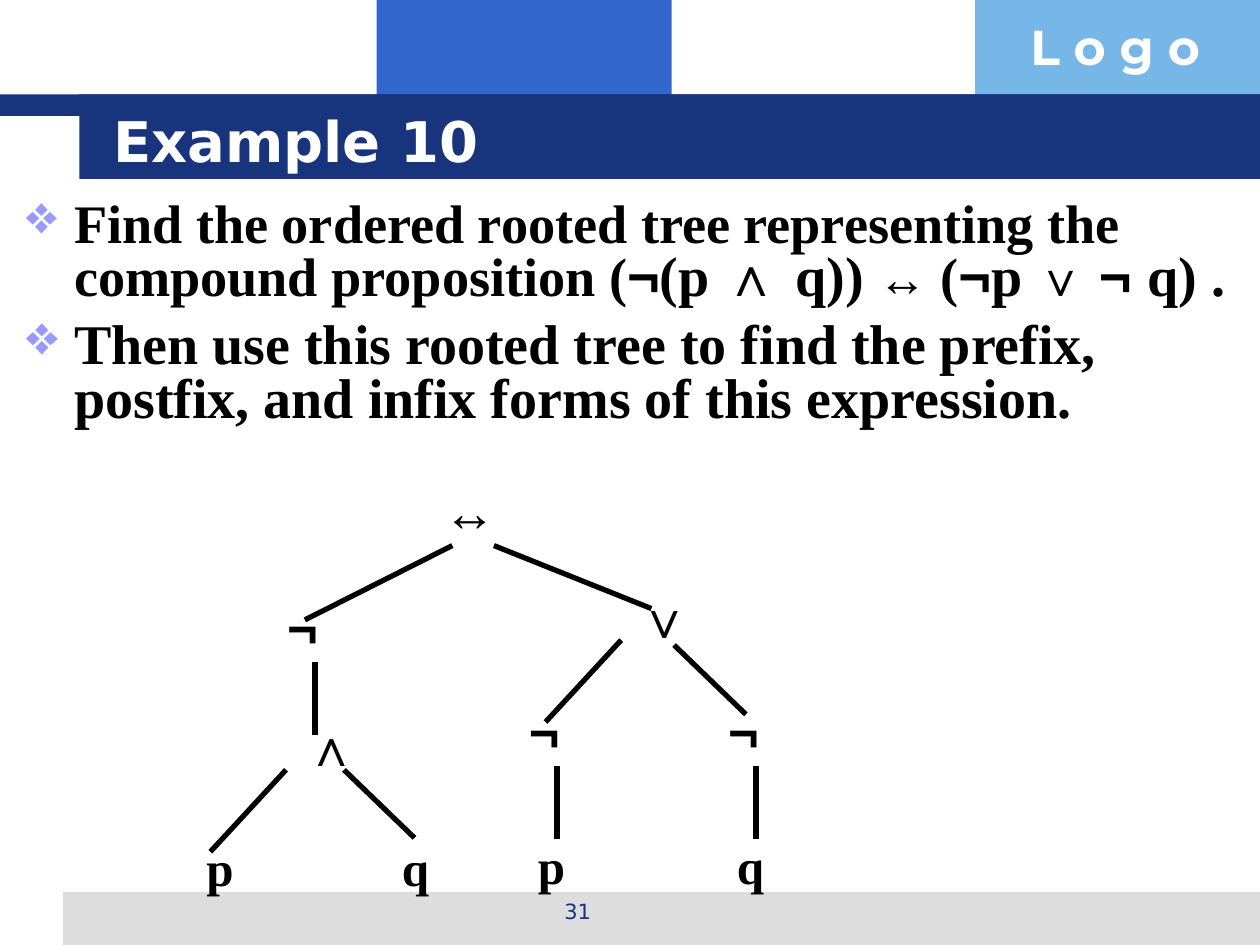
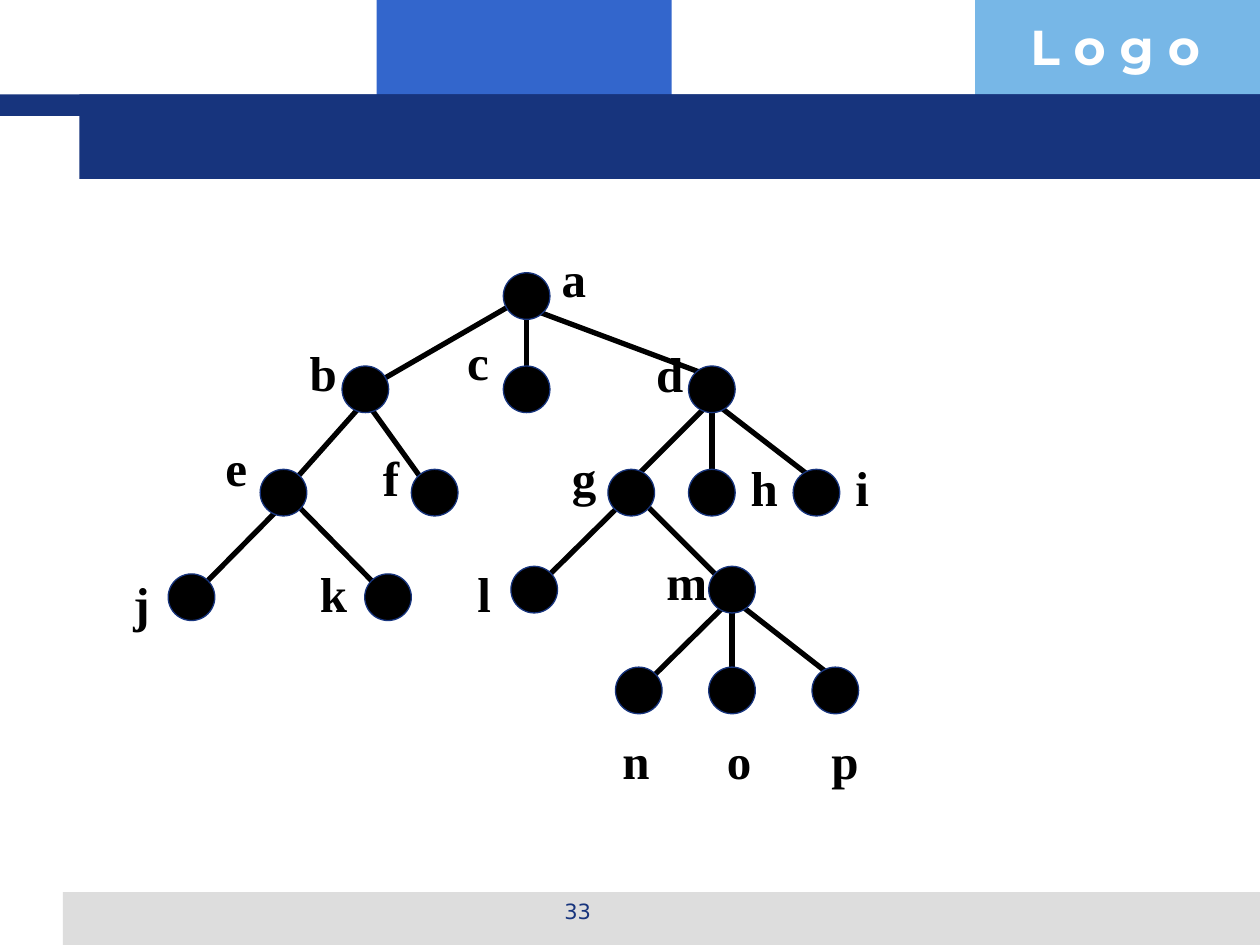
import pptx
import pptx.util
import pptx.dml.color
import pptx.enum.shapes
import pptx.enum.text
import pptx.oxml.ns
from lxml import etree

Inches = pptx.util.Inches
Pt = pptx.util.Pt
RGBColor = pptx.dml.color.RGBColor
SHAPE = pptx.enum.shapes.MSO_SHAPE
ANCHOR = pptx.enum.text.MSO_ANCHOR
ALIGN = pptx.enum.text.PP_ALIGN
qn = pptx.oxml.ns.qn

NAVY = RGBColor(0x17, 0x34, 0x7D)
BLUE = RGBColor(0x33, 0x66, 0xCC)
SKY = RGBColor(0x77, 0xB7, 0xE7)
GREY = RGBColor(0xDD, 0xDD, 0xDD)
LILAC = RGBColor(0x99, 0x99, 0xFF)
BLACK = RGBColor(0, 0, 0)
WHITE = RGBColor(0xFF, 0xFF, 0xFF)

SERIF, SYMBOL, SANS = "Times New Roman", "Arial", "DejaVu Sans"
TITLE = {"name": SANS, "size": Pt(32), "bold": True}
NUMBER = {"name": SANS, "size": Pt(12)}
LOGO = {"name": "Montserrat", "size": Pt(28), "bold": True}
LETTER = {"name": SERIF, "size": Pt(28), "bold": True}
OPERATOR = {"name": SYMBOL, "size": Pt(30), "bold": True}

BANDS = [
    (2.99, 0, 2.34, 0.92, BLUE),
    (7.74, 0, 2.26, 0.92, SKY),
    (0.5, 7.08, 9.5, 0.42, GREY),
    (0, 0.75, 10, 0.17, NAVY),
    (0.63, 0.75, 9.37, 0.67, NAVY),
]

LABEL_WIDTHS = {
    "∧": 0.34, "∨": 0.34, "¬": 0.47, "↔": 0.62, "a": 0.39, "c": 0.37, "e": 0.37,
    "f": 0.33, "g": 0.39, "i": 0.31, "j": 0.33, "l": 0.31, "m": 0.52, "o": 0.39,
}
NODE_SIZE = 0.37

# Each paragraph is a list of (text, size, font)
QUESTION = [
    [
        ("Find the ordered rooted tree representing the compound proposition (", 31, SERIF),
        ("¬", 32, SYMBOL),
        ("(p ", 32, SERIF),
        ("∧ ", 32, SYMBOL),
        ("q)) ", 32, SERIF),
        ("↔ ", 28, SYMBOL),
        ("(", 31, SERIF),
        ("¬", 32, SYMBOL),
        ("p ", 32, SERIF),
        ("∨ ", 28, SYMBOL),
        ("¬ ", 32, SYMBOL),
        ("q) .", 32, SERIF),
    ],
    [("Then use this rooted tree to find the prefix, postfix, and infix forms "
      "of this expression.", 32, SERIF)],
]

BRANCHES = [
    (2.27, 6.11, 1.67, 6.76), (2.73, 6.11, 3.29, 6.65),
    (4.93, 5.08, 4.33, 5.73), (5.35, 5.12, 5.92, 5.67),
    (3.59, 4.33, 2.42, 4.92), (3.92, 4.33, 5.17, 4.83),
]
NEGATIONS = [(2.18, 4.67), (4.1, 5.5), (5.68, 5.5)]
OPERATORS = [("∧", 2.33, 5.62), ("∨", 4.97, 4.6), ("↔", 3.42, 3.75)]
OPERANDS = [("p", 1.54, 6.6), ("q", 3.09, 6.6), ("p", 4.17, 6.58), ("q", 5.75, 6.58)]

# name: (centre, label corner)
NODES = {
    "a": ((4.18, 2.35), (4.36, 1.92)),
    "b": ((2.9, 3.09), (2.36, 2.67)),
    "c": ((4.18, 3.09), (3.61, 2.58)),
    "d": ((5.65, 3.09), (5.11, 2.68)),
    "e": ((2.25, 3.91), (1.69, 3.42)),
    "f": ((3.45, 3.91), (2.94, 3.5)),
    "g": ((5.01, 3.91), (4.44, 3.5)),
    "h": ((5.65, 3.91), (5.86, 3.58)),
    "i": ((6.48, 3.91), (6.69, 3.58)),
    "j": ((1.52, 4.74), (0.96, 4.5)),
    "k": ((3.08, 4.74), (2.44, 4.42)),
    "l": ((4.24, 4.68), (3.69, 4.42)),
    "m": ((5.81, 4.68), (5.19, 4.33)),
    "n": ((5.07, 5.48), (4.84, 5.75)),
    "o": ((5.81, 5.48), (5.67, 5.75)),
    "p": ((6.63, 5.48), (6.5, 5.75)),
}
# (parent, child, offset from the parent's centre, offset from the child's centre)
EDGES = [
    ("a", "b", (0, 0), (0, 0)),
    ("a", "c", (0, 0), (0, 0)),
    ("a", "d", (0, 0.09), (0, -0.1)),
    ("b", "e", (0, 0.09), (0, 0)),
    ("b", "f", (0, 0.09), (-0.09, -0.09)),
    ("d", "g", (0, 0.09), (-0.09, 0)),
    ("d", "h", (0, 0.09), (0, 0)),
    ("d", "i", (0, 0.09), (0, -0.09)),
    ("e", "j", (0, 0.09), (0, 0)),
    ("e", "k", (0.1, 0.09), (-0.09, -0.09)),
    ("g", "l", (-0.03, 0.04), (0, 0)),
    ("g", "m", (0.06, 0.04), (-0.1, -0.09)),
    ("m", "n", (0, 0.07), (0, 0)),
    ("m", "o", (0, 0.07), (0, 0)),
    ("m", "p", (0, 0.07), (0, -0.09)),
]


class Deck:
    def __init__(self):
        self.prs = pptx.Presentation()
        self.prs.slide_width, self.prs.slide_height = Inches(10), Inches(7.5)
        self.s = None

    def new_slide(self, number, title=None):
        self.s = self.prs.slides.add_slide(self.prs.slide_layouts[6])
        for *box, color in BANDS:
            self.shape(SHAPE.RECTANGLE, box, color)
        self.text("L o g o", (8.08, 0.08, 1.93, 0.57), LOGO, WHITE)
        self.text(number, (3.42, 7.08, 2.33, 0.35), NUMBER, NAVY, align=ALIGN.CENTER)
        if title:
            self.text(title, (0.8, 0.8, 8.53, 0.62), TITLE, WHITE, anchor=ANCHOR.MIDDLE)

    def shape(self, kind, box, color, outline=None):
        sp = self.s.shapes.add_shape(kind, *map(Inches, box))
        sp.shadow.inherit = False
        sp.fill.solid()
        sp.fill.fore_color.rgb = color
        if outline is None:
            sp.line.fill.background()
        else:
            sp.line.color.rgb = outline
            sp.line.width = Pt(0.75)

    def frame(self, box, wrap=True, anchor=ANCHOR.TOP):
        tf = self.s.shapes.add_textbox(*map(Inches, box)).text_frame
        tf.word_wrap = wrap
        tf.vertical_anchor = anchor
        return tf

    def run(self, p, text, style, color):
        r = p.add_run()
        r.text = text
        for key, value in style.items():
            setattr(r.font, key, value)
        r.font.color.rgb = color

    def text(self, text, box, style, color, align=ALIGN.LEFT, **frame_options):
        tf = self.frame(box, **frame_options)
        p = tf.paragraphs[0]
        p.alignment = align
        self.run(p, text, style, color)
        return tf

    def label(self, text, x, y, style=LETTER):
        height = 0.6 if style is OPERATOR else 0.57
        box = (x, y, LABEL_WIDTHS.get(text, 0.41), height)
        tf = self.text(text, box, style, BLACK, wrap=False)
        tf.auto_size = pptx.enum.text.MSO_AUTO_SIZE.SHAPE_TO_FIT_TEXT

    def bullets(self, paragraphs, box):
        tf = self.frame(box)
        for i, runs in enumerate(paragraphs):
            p = tf.add_paragraph() if i else tf.paragraphs[0]
            p.line_spacing = 0.8
            p.space_before = Pt(8 if i else 0)
            pPr = p._p.get_or_add_pPr()
            pPr.set("marL", str(Inches(0.38)))
            pPr.set("indent", str(-Inches(0.38)))
            clr = etree.SubElement(pPr, qn("a:buClr"))
            etree.SubElement(clr, qn("a:srgbClr"), val=str(LILAC))
            etree.SubElement(pPr, qn("a:buChar"), char="❖")
            for text, size, font in runs:
                self.run(p, text, {"name": font, "size": Pt(size), "bold": True}, BLACK)

    def line(self, *ends):
        cx = self.s.shapes.add_connector(
            pptx.enum.shapes.MSO_CONNECTOR.STRAIGHT, *map(Inches, ends))
        cx.line.color.rgb = BLACK
        cx.line.width = Pt(3)
        etree.SubElement(cx._element.spPr, qn("a:effectLst"))

    def node(self, x, y):
        half = NODE_SIZE / 2
        self.shape(SHAPE.OVAL, (x - half, y - half, NODE_SIZE, NODE_SIZE), BLACK, NAVY)


def add_expression_tree(deck):
    deck.new_slide("31", "Example 10")
    deck.bullets(QUESTION, (0.11, 1.55, 9.72, 2.11))
    for branch in BRANCHES:
        deck.line(*branch)
    for x, y in NEGATIONS:
        deck.label("¬", x, y, OPERATOR)
        deck.line(x + 0.32, y + 0.58, x + 0.32, y + 1.16)
    for symbol, x, y in OPERATORS:
        deck.label(symbol, x, y, OPERATOR)
    for letter, x, y in OPERANDS:
        deck.label(letter, x, y)


def add_ordered_tree(deck):
    deck.new_slide("33")
    for parent, child, start, end in EDGES:
        (px, py), (cx, cy) = NODES[parent][0], NODES[child][0]
        deck.line(px + start[0], py + start[1], cx + end[0], cy + end[1])
    for centre, _ in NODES.values():
        deck.node(*centre)
    for name, (_, corner) in NODES.items():
        deck.label(name, *corner)


def main():
    deck = Deck()
    add_expression_tree(deck)
    add_ordered_tree(deck)
    deck.prs.save("out.pptx")


if __name__ == "__main__":
    main()
